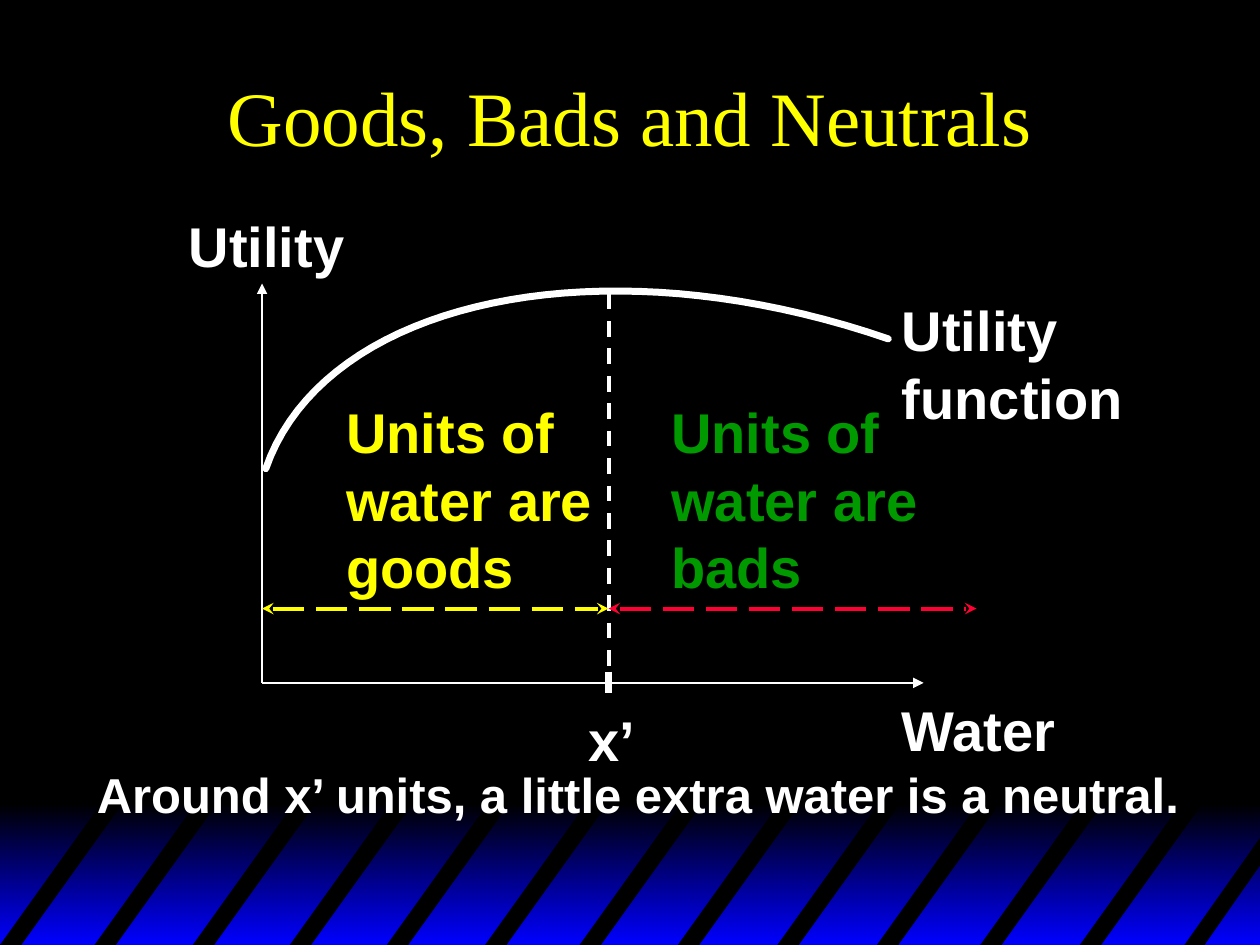
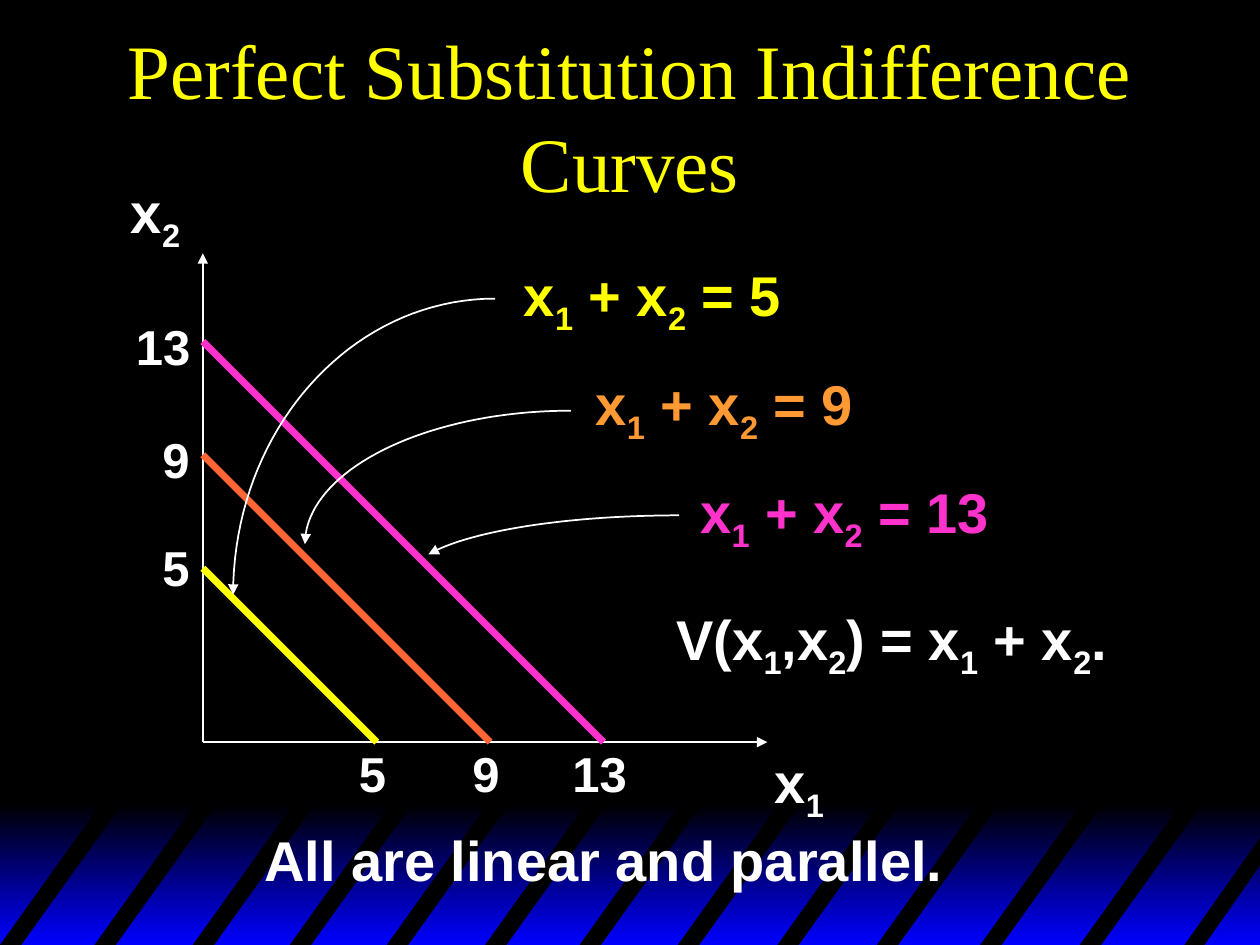
from pptx import Presentation
from pptx.dml.color import RGBColor
from pptx.enum.dml import MSO_LINE_DASH_STYLE as Dash
from pptx.enum.shapes import MSO_CONNECTOR as Connector, MSO_SHAPE as Preset
from pptx.enum.text import MSO_ANCHOR as Anchor, MSO_AUTO_SIZE as AutoSize, PP_ALIGN as Align
from pptx.oxml.ns import qn
from pptx.util import Inches, Pt

BLACK, WHITE, BLUE, YELLOW = "000000", "FFFFFF", "0000FF", "FFFF00"
GREEN, RED, CORAL, ORANGE, PINK = "009900", "FF0033", "FF6633", "FF9933", "FF33CC"

WIDTH, HEIGHT = 10, 7.5
BAND_TOP, STRIPE_TOP, STRIPE_WIDTH, STRIPE_SLANT = 6.38, 6.34, 0.17, 0.83
STRIPE_LEFTS = [0, 0.75, 1.53, 2.3, 3.07, 3.85, 4.6, 5.38, 6.17, 6.96, 7.78, 8.57]
CORNER_STRIPE = [(9.4, 7.5), (10, 6.65), (10, 6.87), (9.56, 7.5)]
TITLE_BOX = (0.75, 0.25, 8.5, 1.33)
SENTENCE_WIDTH = 3.5  # labels wider than this keep their width

# Axes and curves of the two diagrams
PEAK_X, RANGE_Y = 4.83, 4.83
ORIGIN_X, ORIGIN_Y = 1.61, 5.89
FIRST_REACH, REACH_STEP = 1.38, 0.9

# Each label: text, (left, top, width, height), then colour and size if not white 32 pt.
# An underscore lowers the character after it.
UTILITY = {
    "title": "Goods, Bads and Neutrals",
    "lines": [
        ((2.08, 2.25), (2.08, 5.42), dict(head="triangle")),
        ((2.08, 5.42), (7.33, 5.42), dict(tail="triangle")),
        ((PEAK_X, 2.33), (PEAK_X, 5.42), dict(width=2.25, dash=Dash.DASH)),
        ((PEAK_X, 5.33), (PEAK_X, 5.5), dict(width=4)),
    ] + [
        ((start, RANGE_Y), (end, RANGE_Y),
         dict(color=color, width=2.25, dash=Dash.LONG_DASH, head="stealth", tail="stealth"))
        for start, end, color in [(2.08, PEAK_X, YELLOW), (PEAK_X, 7.75, RED)]
    ],
    "curves": [
        ([(2.11, 3.72), (2.58, 2.37), (4.79, 1.91), (7.05, 2.69)], dict(width=4, cap="rnd")),
    ],
    "labels": [
        ("Utility", (1.4, 1.63, 1.44, 0.63)),
        ("Water", (7.06, 5.47, 1.44, 0.63)),
        ("x’", (4.57, 5.55, 0.57, 0.63)),
        ("Units of\nwater are\ngoods", (2.65, 3.11, 2.16, 1.7), YELLOW),
        ("Units of\nwater are\nbads", (5.23, 3.11, 2.16, 1.7), GREEN),
        ("Around x’ units, a little extra water is a neutral.",
         (0.67, 6.02, 8.92, 0.57), WHITE, 28),
        ("Utility\nfunction", (7.06, 2.3, 1.96, 1.17)),
    ],
}

# Total, line colour, width of its axis labels, top of its label beside the vertical axis
BUDGETS = [("5", YELLOW, 0.42, 4.22), ("9", CORAL, 0.42, 3.36), ("13", PINK, 0.63, 2.46)]
REACHES = [FIRST_REACH + REACH_STEP * index for index in range(len(BUDGETS))]

SUBSTITUTES = {
    "title": "Perfect Substitution Indifference Curves",
    "lines": [
        ((ORIGIN_X, 2.01), (ORIGIN_X, ORIGIN_Y), dict(head="triangle")),
        ((ORIGIN_X, ORIGIN_Y), (6.09, ORIGIN_Y), dict(tail="triangle")),
    ] + [
        ((ORIGIN_X, ORIGIN_Y - reach), (ORIGIN_X + reach, ORIGIN_Y), dict(color=color, width=4))
        for reach, (_, color, _, _) in zip(REACHES, BUDGETS)
    ],
    "curves": [
        (points, dict(head="triangle")) for points in [
            [(1.85, 4.72), (1.85, 3.42), (2.78, 2.37), (3.93, 2.37)],
            [(2.42, 4.32), (2.42, 3.74), (3.37, 3.26), (4.53, 3.26)],
            [(3.4, 4.4), (3.73, 4.21), (4.52, 4.09), (5.39, 4.09)],
        ]
    ],
    "labels": [
        (total, (ORIGIN_X + reach - 0.03 - width / 2, 5.85, width, 0.57), WHITE, 28)
        for reach, (total, _, width, _) in zip(REACHES, BUDGETS)
    ] + [
        (total, (ORIGIN_X - width, top, width, 0.57), WHITE, 28)
        for total, _, width, top in BUDGETS
    ] + [
        ("x_1", (6.05, 5.88, 0.59, 0.71)),
        ("x_2", (0.94, 1.36, 0.59, 0.71)),
        ("x_1 + x_2 = 5", (4.06, 2.02, 2.25, 0.71), YELLOW),
        ("x_1 + x_2 = 9", (4.63, 2.88, 2.25, 0.71), ORANGE),
        ("x_1 + x_2 = 13", (5.46, 3.74, 2.49, 0.71), PINK),
        ("V(x_1,x_2) = x_1 + x_2.", (5.27, 4.75, 4, 0.71)),
        ("All are linear and parallel.", (2, 6.5, 5.9, 0.63)),
    ],
}


def rgb(color):
    return RGBColor.from_string(color)


def set_all(target, values):
    for name, value in values.items():
        setattr(target, name, value)


def style_line(line, color=WHITE, width=1, dash=None, cap=None, head=None, tail=None):
    line.color.rgb = rgb(color)
    line.width = Pt(width)
    if dash:
        line.dash_style = dash
    outline = line._get_or_add_ln()
    if cap:
        outline.set("cap", cap)
    for tag, kind in [("a:headEnd", head), ("a:tailEnd", tail)]:
        if kind:
            outline.append(outline.makeelement(qn(tag), {"type": kind}))


def add_line(page, start, end, style):
    line = page.shapes.add_connector(Connector.STRAIGHT, *map(Inches, start + end))
    style_line(line.line, **style)
    properties = line._element.spPr
    properties.append(properties.makeelement(qn("a:effectLst"), {}))


def add_outline(shapes, points, close):
    first, *rest = [(Inches(x), Inches(y)) for x, y in points]
    builder = shapes.build_freeform(*first)
    builder.add_line_segments(rest, close=close)
    shape = builder.convert_to_shape()
    shape.shadow.inherit = False
    return shape


def bezier(controls, steps=40):
    """Points along a cubic curve given by its four control points."""
    points = []
    for step in range(steps + 1):
        t = step / steps
        weights = [(1 - t) ** 3, 3 * t * (1 - t) ** 2, 3 * t * t * (1 - t), t ** 3]
        points.append([sum(w * v for w, v in zip(weights, axis)) for axis in zip(*controls)])
    return points


def add_curve(page, controls, style):
    curve = add_outline(page.shapes, bezier(controls), close=False)
    curve.fill.background()
    style_line(curve.line, **style)


def add_span(para, text, color, font, lowered=False):
    span = para.add_run()
    span.text = text
    set_all(span.font, font)
    span.font.color.rgb = rgb(color)
    if lowered:
        span.font._element.set("baseline", "-25000")


def add_text(page, text, place, color=WHITE, size=32, name="Arial", bold=True):
    box = page.shapes.add_textbox(*map(Inches, place))
    para = box.text_frame.paragraphs[0]
    font = dict(name=name, size=Pt(size), bold=bold)
    for number, row in enumerate(text.split("\n")):
        if number:
            para.add_line_break()
        plain, *lowered = row.split("_")
        add_span(para, plain, color, font)
        for piece in lowered:
            add_span(para, piece[0], color, font, lowered=True)
            if piece[1:]:
                add_span(para, piece[1:], color, font)
    return box.text_frame


def add_label(page, text, place, *look):
    frame = add_text(page, text, place, *look)
    set_all(frame, dict(word_wrap=place[2] > SENTENCE_WIDTH,
                        auto_size=AutoSize.SHAPE_TO_FIT_TEXT))


def add_title(page, text):
    frame = add_text(page, text, TITLE_BOX, YELLOW, 44, "Times New Roman", False)
    set_all(frame, dict(word_wrap=True, vertical_anchor=Anchor.MIDDLE))
    frame.paragraphs[0].alignment = Align.CENTER


def add_striped_band(page):
    shapes = page.shapes.add_group_shape().shapes
    band = shapes.add_shape(Preset.RECTANGLE, *map(Inches, (0, BAND_TOP, WIDTH, HEIGHT - BAND_TOP)))
    band.shadow.inherit = False
    band.line.fill.background()
    band.fill.gradient()
    band.fill.gradient_angle = 270
    for stop, color in zip(band.fill.gradient_stops, (BLACK, BLUE)):
        stop.color.rgb = rgb(color)
    stripes = [
        [(left, HEIGHT), (left + STRIPE_SLANT, STRIPE_TOP),
         (left + STRIPE_SLANT + STRIPE_WIDTH, STRIPE_TOP), (left + STRIPE_WIDTH, HEIGHT)]
        for left in STRIPE_LEFTS
    ]
    for points in stripes + [CORNER_STRIPE]:
        stripe = add_outline(shapes, points, close=True)
        stripe.fill.solid()
        stripe.fill.fore_color.rgb = rgb(BLACK)
        stripe.line.fill.background()


def add_page(deck, content):
    page = deck.slides.add_slide(deck.slide_layouts[6])
    add_striped_band(page)
    add_title(page, content["title"])
    for line in content["lines"]:
        add_line(page, *line)
    for curve in content["curves"]:
        add_curve(page, *curve)
    for label in content["labels"]:
        add_label(page, *label)


def main():
    deck = Presentation()
    set_all(deck, dict(slide_width=Inches(WIDTH), slide_height=Inches(HEIGHT)))
    backdrop = deck.slide_master.background.fill
    backdrop.solid()
    backdrop.fore_color.rgb = rgb(BLACK)
    for content in (UTILITY, SUBSTITUTES):
        add_page(deck, content)
    deck.save("out.pptx")


if __name__ == "__main__":
    main()
